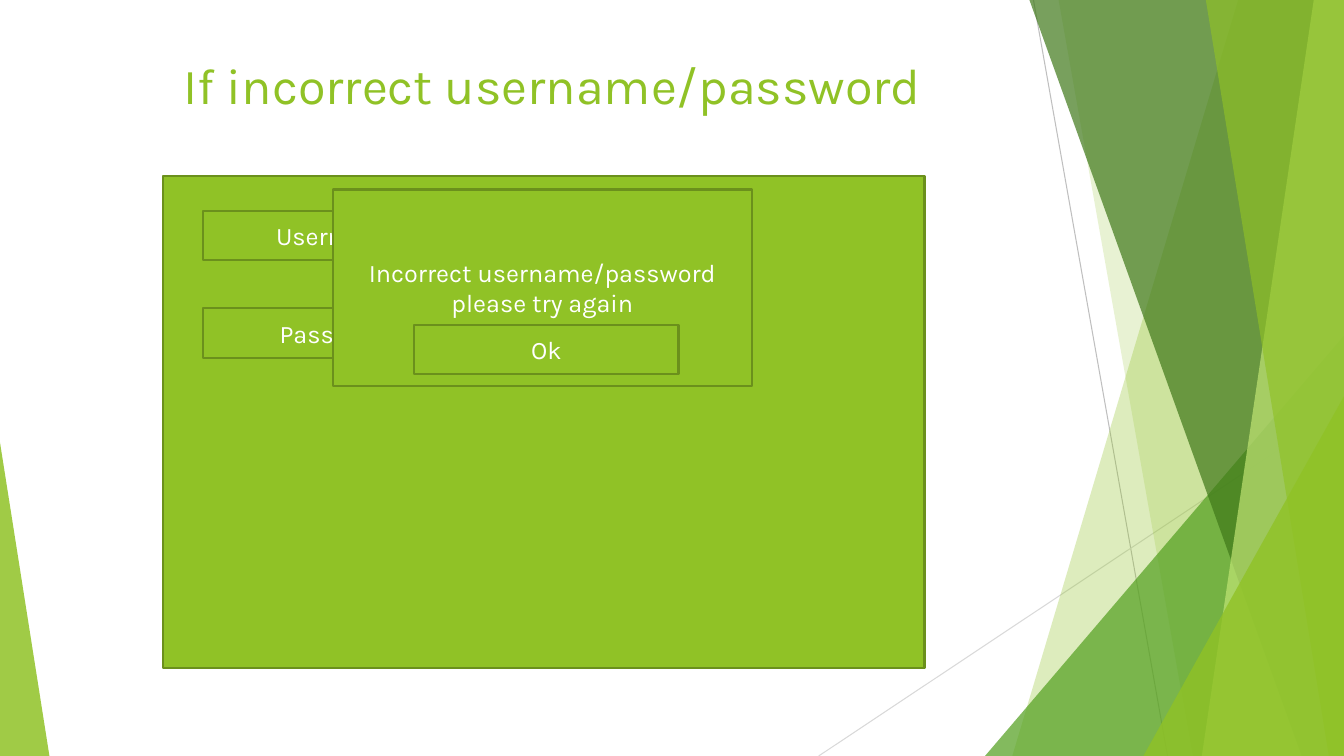
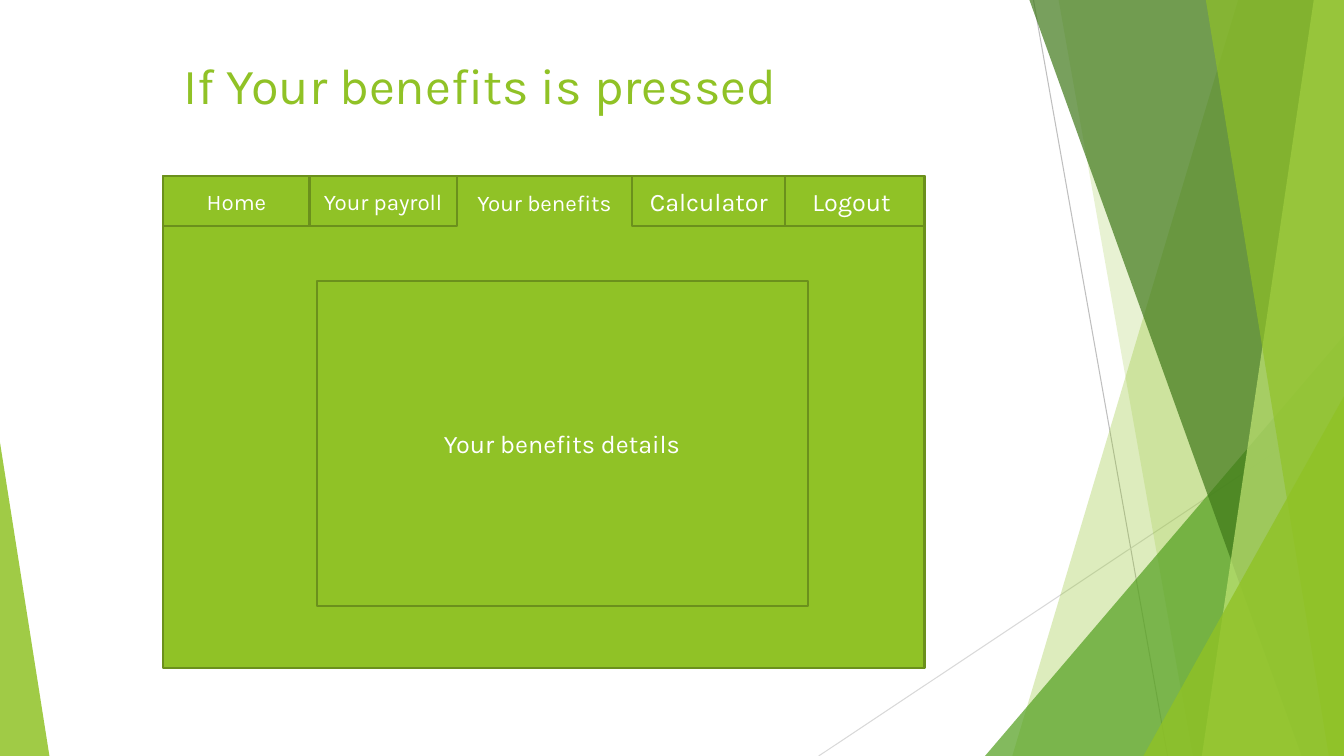
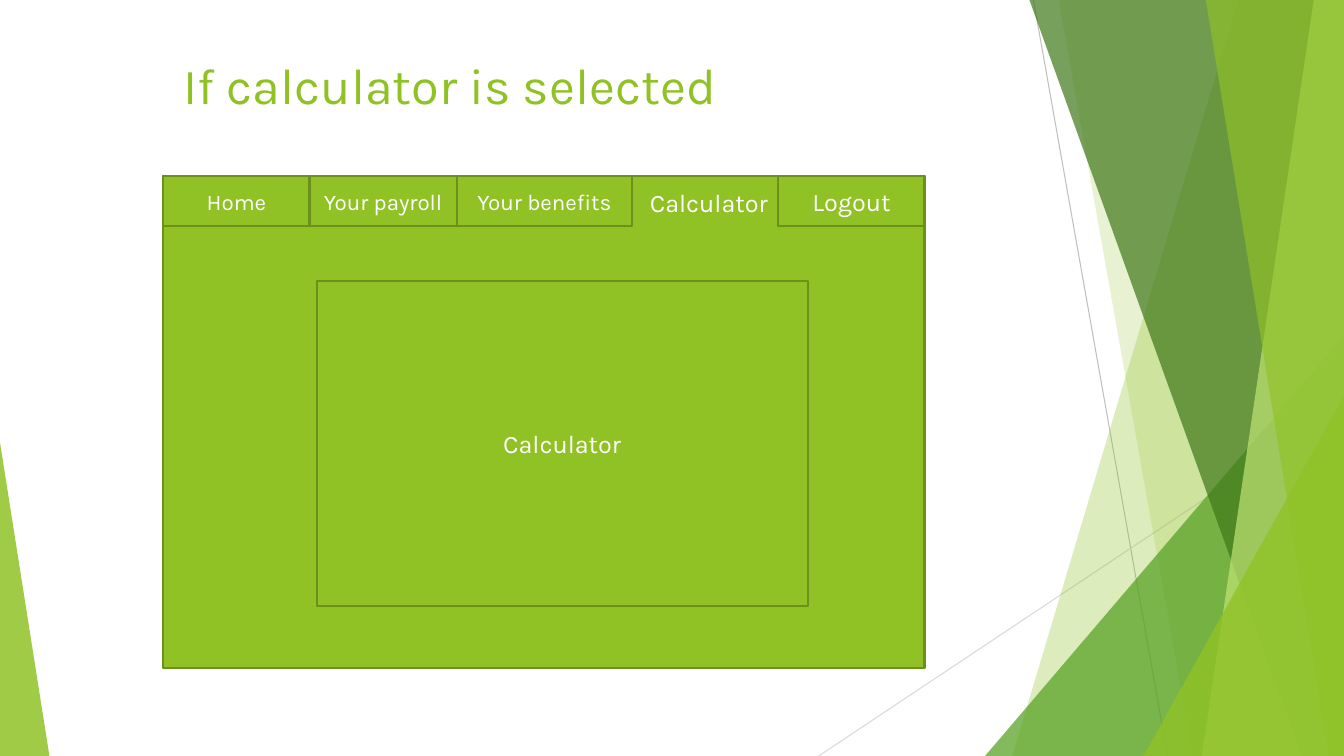
from lxml import etree
from pptx import Presentation
from pptx.dml.color import RGBColor
from pptx.enum.shapes import MSO_CONNECTOR, MSO_SHAPE
from pptx.enum.text import MSO_ANCHOR, PP_ALIGN
from pptx.oxml.ns import qn
from pptx.util import Pt

RECT, WEDGE = MSO_SHAPE.RECTANGLE, MSO_SHAPE.RIGHT_TRIANGLE
TRI = MSO_SHAPE.ISOSCELES_TRIANGLE
LINE = MSO_CONNECTOR.STRAIGHT
TOP, MID = MSO_ANCHOR.TOP, MSO_ANCHOR.MIDDLE
LEFT, CENTER = PP_ALIGN.LEFT, PP_ALIGN.CENTER

PX = 9144  # one px is a hundredth of an inch
WIDE, HIGH = 1333, 750
FONT = "Karla"
LIME, LEAF, MOSS, PALE = "90C226", "54A021", "3F7819", "C0E474"
EDGE, WHITE = "6B901C", "FFFFFF"

PAGE = (0, 0, WIDE, HIGH)
TITLE = (172, 49, 849, 180)
FRAME = (162, 175, 755, 488)

# Thin rules: start, end, colour
RULES = [((1025, 0), (1158, 750), "BFBFBF"),
         ((1333, 403), (812, 750), "D9D9D9")]
# Bands reach the right edge: x at top, x at foot, colour, opacity
# Peaks stand on the foot: left, width, height, tip, colour, opacity
BACK = [("band", 1228, 1004, LIME, 30),
        ("band", 1050, 1183, LIME, 20),
        ("peak", 977, 356, 417, 1, LEAF, 72),
        ("band", 1021, 1291, MOSS, 70),
        ("band", 1303, 1192, PALE, 70),
        ("band", 1196, 1318, LIME, 65),
        ("peak", 1134, 199, 357, 1, LIME, 80),
        ("peak", 0, 49, 311, 0, LIME, 85)]

# Tabs: label, offset in the frame, width, text size
TABS = [("Home", 0, 145, 16),
        ("Your payroll", 145, 146, 16),
        ("Your benefits", 291, 174, 16),
        ("Calculator", 465, 152, 18),
        ("Logout", 610, 145, 18)]


def px(*nums):
    return [n * PX for n in nums]


def rgb(code):
    return RGBColor.from_string(code)


def paint(shape, fill, edge=None, alpha=100):
    shape.shadow.inherit = False
    shape.fill.solid()
    shape.fill.fore_color.rgb = rgb(fill)
    if alpha < 100:
        tint = shape.fill._xPr.find(qn("a:solidFill"))[0]
        etree.SubElement(tint, qn("a:alpha"), val=str(alpha * 1000))
    if edge:
        shape.line.color.rgb = rgb(edge)
        shape.line.width = Pt(1.5)
    else:
        shape.line.fill.background()


def write(shape, text, size=18, color=WHITE, align=CENTER, anchor=MID):
    frame = shape.text_frame
    frame.word_wrap = True
    frame.vertical_anchor = anchor
    para = frame.paragraphs[0]
    para.alignment = align
    run = para.add_run()
    run.text = text
    run.font.name = FONT
    run.font.size = Pt(size)
    run.font.color.rgb = rgb(color)


def panel(slide, box, text="", size=18, edge=EDGE):
    shape = slide.shapes.add_shape(RECT, *px(*box))
    paint(shape, LIME, edge)
    if text:
        write(shape, text, size=size)


def band(slide, box, top, foot, color, alpha):
    x, y, w, h = box
    path = slide.shapes.build_freeform(x + top, y, scale=PX)
    path.add_line_segments([(x + w, y), (x + w, y + h), (x + foot, y + h)])
    paint(path.convert_to_shape(), color, alpha=alpha)


def peak(slide, box, left, wide, high, tip, color, alpha):
    x, y, _, h = box
    spot = px(x + left, y + h - high, wide, high)
    shape = slide.shapes.add_shape(TRI, *spot)
    shape.adjustments[0] = tip
    paint(shape, color, alpha=alpha)


def decor(slide, box):
    x, y = box[:2]
    for (ax, ay), (bx, by), color in RULES:
        ends = px(x + ax, y + ay, x + bx, y + by)
        rule = slide.shapes.add_connector(LINE, *ends)
        rule.line.color.rgb = rgb(color)
        rule.line.width = Pt(0.75)
        etree.SubElement(rule._element.spPr, qn("a:effectLst"))
    draw = {"band": band, "peak": peak}
    for kind, *args in BACK:
        draw[kind](slide, box, *args)


def base(deck, title):
    slide = deck.slides.add_slide(deck.slide_layouts[6])
    decor(slide, PAGE)
    head = slide.shapes.add_textbox(*px(*TITLE))
    write(head, title, size=36, color=LIME, align=LEFT, anchor=TOP)
    return slide


def login(slide, box):
    x, y, _, _ = box
    panel(slide, box)
    # Fields
    for i, label in enumerate(["Username", "Password"]):
        panel(slide, (x + 39, y + 34 + 97 * i, 262, 49), label)
    # Message over the fields
    panel(slide, (x + 168, y + 13, 416, 195),
          "Incorrect username/password please try again")
    panel(slide, (x + 249, y + 147, 262, 49), "Ok")


def tabbed(slide, box, live, body):
    x, y, _, _ = box
    panel(slide, box)
    panel(slide, (x + 152, y + 104, 487, 322), body)
    # The live tab has no edge and lies below its neighbours
    for name, left, wide, size in sorted(
            reversed(TABS), key=lambda tab: tab[0] != live):
        on = name == live
        panel(slide, (x + left, y + on, wide, 49), name, size=size,
              edge=None if on else EDGE)


def main():
    deck = Presentation()
    deck.slide_width, deck.slide_height = px(WIDE, HIGH)
    login(base(deck, "If incorrect username/password"), FRAME)
    tabbed(base(deck, "If Your benefits is pressed"), FRAME,
           "Your benefits", "Your benefits details")
    tabbed(base(deck, "If calculator is selected"), FRAME,
           "Calculator", "Calculator")
    deck.save("out.pptx")


if __name__ == "__main__":
    main()
